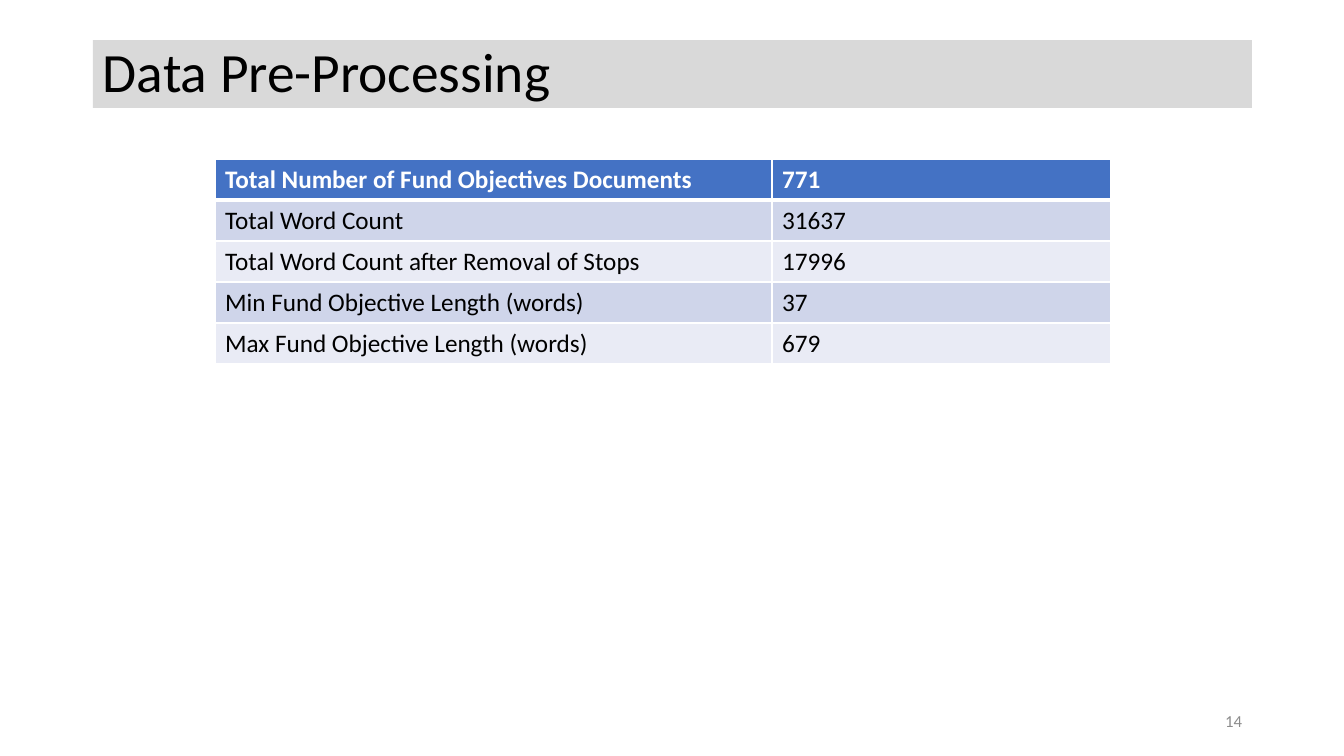
"""Build the data pre-processing slide with its summary table."""
import pptx
import pptx.dml.color
import pptx.enum.shapes
import pptx.enum.text
import pptx.oxml
import pptx.oxml.ns
import pptx.util

SCALE = 914400 / 100.8
COLORS = {
    "background": "FFFFFF",
    "title_bar": "D9D9D9",
    "text": "000000",
    "header": "4472C4",
    "header_text": "FFFFFF",
    "odd_row": "CFD5EA",
    "even_row": "E9EBF5",
    "border": "FFFFFF",
    "page_number": "8C8C8C",
}


def px(length):
    return pptx.util.Emu(round(length * SCALE))


def write_text(text_frame, text, color, font_format):
    paragraph = text_frame.paragraphs[0]
    run = paragraph.add_run()
    run.text = text
    for name, value in {"name": "Calibri", **font_format}.items():
        setattr(run.font, name, value)
    run.font.color.rgb = pptx.dml.color.RGBColor.from_string(COLORS[color])
    return paragraph


presentation = pptx.Presentation()
presentation.slide_width = px(1344)
presentation.slide_height = px(756)
slide = presentation.slides.add_slide(presentation.slide_layouts[6])
slide.background.fill.solid()
slide.background.fill.fore_color.rgb = pptx.dml.color.RGBColor.from_string(COLORS["background"])

title_bar = slide.shapes.add_shape(
    pptx.enum.shapes.MSO_SHAPE.RECTANGLE, px(93), px(40), px(1159), px(68)
)
title_bar.shadow.inherit = False
title_bar.fill.solid()
title_bar.fill.fore_color.rgb = pptx.dml.color.RGBColor.from_string(COLORS["title_bar"])
title_bar.line.fill.background()
title_bar.text_frame.word_wrap = True
title_bar.text_frame.vertical_anchor = pptx.enum.text.MSO_ANCHOR.BOTTOM
title = write_text(
    title_bar.text_frame, "Data Pre-Processing", "text", {"size": pptx.util.Pt(39.6)}
)
title.alignment = pptx.enum.text.PP_ALIGN.LEFT
title.line_spacing = 0.8

summary_rows = [
    ("Total Number of Fund Objectives Documents", "771"),
    ("Total Word Count", "31637"),
    ("Total Word Count after Removal of Stops", "17996"),
    ("Min Fund Objective Length (words)", "37"),
    ("Max Fund Objective Length (words)", "679"),
]
column_widths = [557, 339]
row_height = 41
table = slide.shapes.add_table(
    len(summary_rows), len(column_widths),
    px(215), px(159), px(sum(column_widths)), px(row_height * len(summary_rows)),
).table
for column, width in zip(table.columns, column_widths):
    column.width = px(width)

for row_index, values in enumerate(summary_rows):
    is_header = row_index == 0
    row_fill = "header" if is_header else "odd_row" if row_index % 2 else "even_row"
    border_widths = {
        "lnL": 1,
        "lnR": 1,
        "lnT": 3 if row_index == 1 else 1,
        "lnB": 3 if is_header else 1,
    }
    for column_index, value in enumerate(values):
        cell = table.cell(row_index, column_index)
        write_text(
            cell.text_frame, value, "header_text" if is_header else "text",
            {"size": pptx.util.Pt(18), "bold": is_header},
        )
        cell_properties = cell._tc.get_or_add_tcPr()
        for side, width in border_widths.items():
            cell_properties.append(pptx.oxml.parse_xml(
                f'<a:{side} {pptx.oxml.ns.nsdecls("a")} w="{pptx.util.Pt(width)}">'
                f'<a:solidFill><a:srgbClr val="{COLORS["border"]}"/></a:solidFill></a:{side}>'
            ))
        cell.fill.solid()
        cell.fill.fore_color.rgb = pptx.dml.color.RGBColor.from_string(COLORS[row_fill])

page_box = slide.shapes.add_textbox(px(950), px(701), px(302), px(40))
page_box.text_frame.word_wrap = True
page_box.text_frame.vertical_anchor = pptx.enum.text.MSO_ANCHOR.MIDDLE
page_number = write_text(
    page_box.text_frame, "14", "page_number", {"size": pptx.util.Pt(12)}
)
page_number.alignment = pptx.enum.text.PP_ALIGN.RIGHT

presentation.save("out.pptx")
